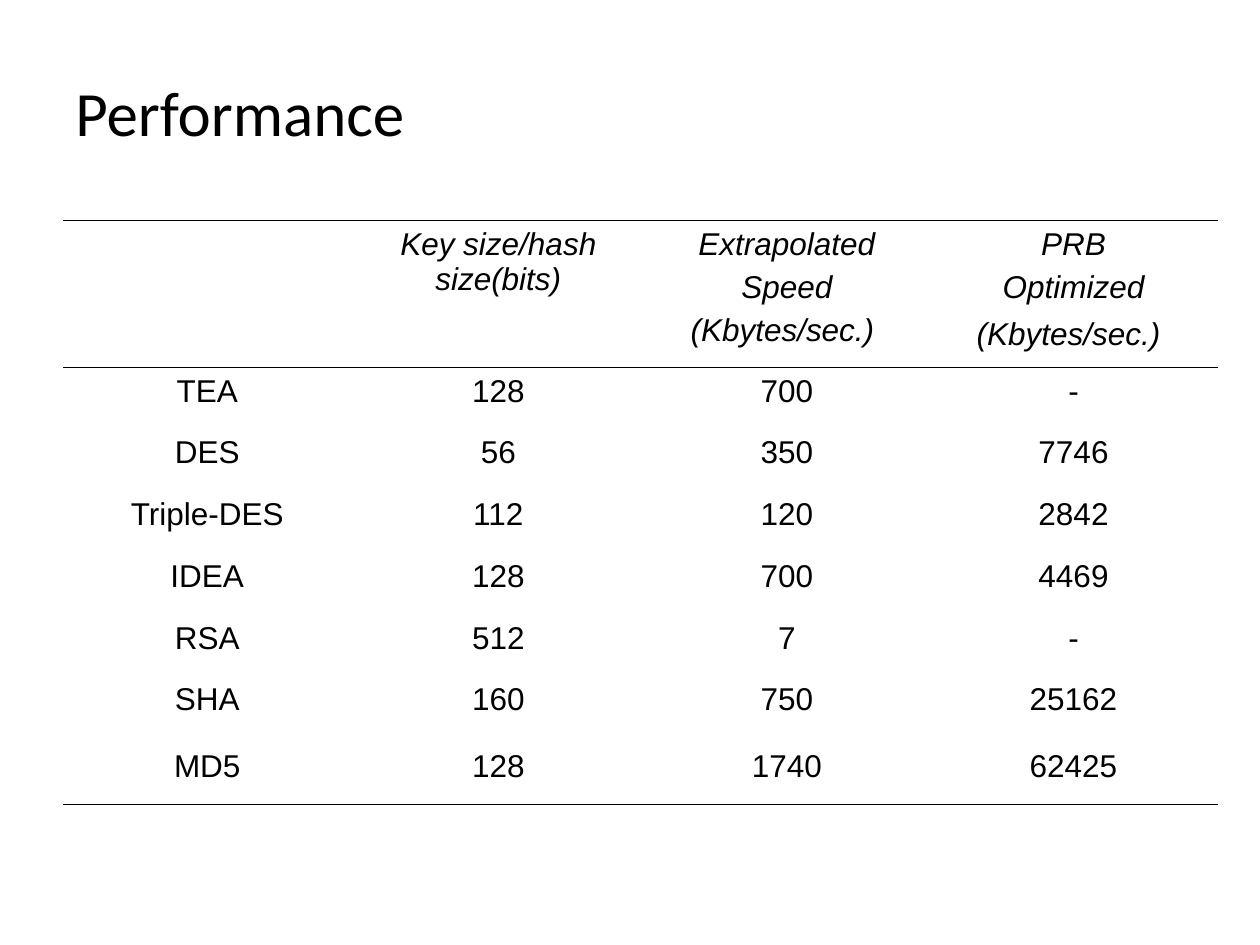
from lxml.etree import SubElement
from pptx import Presentation
from pptx.dml.color import RGBColor
from pptx.enum.text import MSO_ANCHOR as ANCHOR, PP_ALIGN as ALIGN
from pptx.oxml.ns import qn
from pptx.util import Inches, Pt

BLACK = "000000"
COLUMN_WIDTHS = [2.29, 2.33, 2.25, 2.3]
ROW_HEIGHTS = [1.16] + [0.49] * 5 + [0.53, 0.49]
HEADERS = [
    [],
    ["Key size/hash size(bits)"],
    ["Extrapolated", "Speed", "(Kbytes/sec.) "],
    ["PRB", "Optimized", "(Kbytes/sec.)"],
]
RESULTS = [
    ["TEA", "128", "700", "-"],
    ["DES", "56", "350", "7746"],
    ["Triple-DES", "112", "120", "2842"],
    ["IDEA", "128", "700", "4469"],
    ["RSA", "512", "7", "-"],
    ["SHA", "160", "750", "25162"],
    ["MD5", "128", "1740", "62425"],
]


def rgb(color):
    return RGBColor.from_string(color)


def add_run(p, text, size, font, italic=False):
    r = p.add_run()
    r.text = text
    r.font.size = Pt(size)
    r.font.name = font
    r.font.italic = italic
    r.font.color.rgb = rgb(BLACK)


def add_title(slide, left, top, width, height):
    box = slide.shapes.add_textbox(left, top, width, height)
    tf = box.text_frame
    tf.word_wrap = True
    tf.vertical_anchor = ANCHOR.MIDDLE
    p = tf.paragraphs[0]
    p.line_spacing = 0.9
    add_run(p, "Performance", 36, "Calibri")


def fill_cell(cell, lines, italic):
    tf = cell.text_frame
    for i, line in enumerate(lines):
        p = tf.add_paragraph() if i else tf.paragraphs[0]
        p.alignment = ALIGN.CENTER
        p.space_before = Pt(4.5)
        add_run(p, line, 18, "Arial", italic)


def set_borders(cell, top=0, bottom=0):
    """Draw the borders with a width in points; zero hides one."""
    tc_pr = cell._tc.get_or_add_tcPr()
    for side, width in (("L", 0), ("R", 0), ("T", top), ("B", bottom)):
        ln = SubElement(tc_pr, qn(f"a:ln{side}"), w=str(Pt(width)))
        if width:
            fill = SubElement(ln, qn("a:solidFill"))
            SubElement(fill, qn("a:srgbClr"), val=BLACK)
        else:
            SubElement(ln, qn("a:noFill"))


def add_performance_table(slide, left, top, width, height):
    rows = [HEADERS] + [[[text] for text in row] for row in RESULTS]
    table = slide.shapes.add_table(
        len(rows), len(HEADERS), left, top, width, height).table
    table.first_row = table.horz_banding = False
    for column, column_width in zip(table.columns, COLUMN_WIDTHS):
        column.width = Inches(column_width)
    for row, row_height in zip(table.rows, ROW_HEIGHTS):
        row.height = Inches(row_height)

    borders = {0: (1.08, 0.45), 1: (0.45, 0), len(rows) - 1: (0, 1.08)}
    for i, row in enumerate(rows):
        for j, lines in enumerate(row):
            cell = table.cell(i, j)
            fill_cell(cell, lines, italic=i == 0)
            set_borders(cell, *borders.get(i, (0, 0)))
            cell.fill.background()

    last_line = table.cell(0, 3).text_frame.paragraphs[-1]
    last_line.space_before = Pt(5)
    add_run(last_line, " ", 20, "Arial")


def main():
    prs = Presentation()
    prs.slide_width, prs.slide_height = Inches(10), Inches(7.5)
    slide = prs.slides.add_slide(prs.slide_layouts[6])
    add_title(slide, Inches(0.5), Inches(0.3), Inches(9), Inches(1.25))
    add_performance_table(
        slide, Inches(0.5), Inches(1.75), Inches(9.17), Inches(4.61))
    prs.save("out.pptx")


if __name__ == "__main__":
    main()
